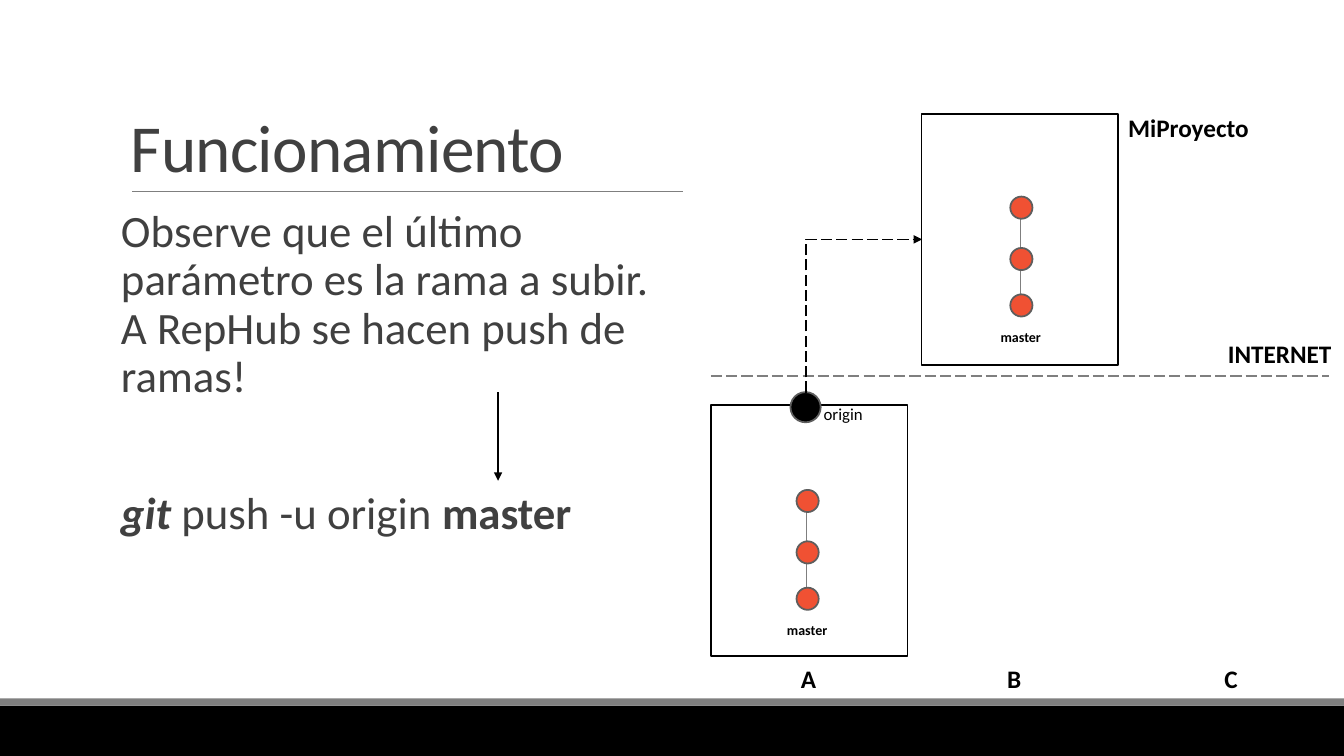
from lxml.etree import SubElement
from pptx import Presentation
from pptx.dml.color import RGBColor
from pptx.enum.dml import MSO_LINE
from pptx.enum.shapes import MSO_CONNECTOR as CONNECTOR, MSO_SHAPE as SHAPE
from pptx.enum.text import MSO_ANCHOR as ANCHOR, PP_ALIGN as ALIGN
from pptx.oxml.ns import qn
from pptx.util import Inches, Pt

BLACK = RGBColor(0x00, 0x00, 0x00)
WHITE = RGBColor(0xFF, 0xFF, 0xFF)
GRAY = RGBColor(0x7F, 0x7F, 0x7F)
DARK_GRAY = RGBColor(0x40, 0x40, 0x40)
OUTLINE_GRAY = RGBColor(0x5E, 0x5E, 0x5E)
ORANGE = RGBColor(0xF0, 0x51, 0x33)
FONT = "Calibri"
DOT = 0.22


def add_box(slide, kind, left, top, width, height, fill, line=None):
    """Add a filled preset shape with an optional outline."""
    shape = slide.shapes.add_shape(
        kind, Inches(left), Inches(top), Inches(width), Inches(height))
    shape.shadow.inherit = False
    shape.fill.solid()
    shape.fill.fore_color.rgb = fill
    if line is None:
        shape.line.fill.background()
    else:
        shape.line.color.rgb = line
        shape.line.width = Pt(1.25)
    return shape


def add_line(slide, start, end, color, width=1, dashed=False, arrow=False,
             kind=CONNECTOR.STRAIGHT):
    """Add a connector between two points."""
    connector = slide.shapes.add_connector(
        kind, *(Inches(value) for value in (*start, *end)))
    connector.line.color.rgb = color
    connector.line.width = Pt(width)
    if dashed:
        connector.line.dash_style = MSO_LINE.LONG_DASH
    if arrow:
        SubElement(connector.line._get_or_add_ln(), qn("a:tailEnd"), type="triangle")
    SubElement(connector._element.spPr, qn("a:effectLst"))
    return connector


def style_paragraph(paragraph, size, color, bold=None):
    """Set the font of a whole paragraph."""
    paragraph.font.name = FONT
    paragraph.font.size = Pt(size)
    paragraph.font.color.rgb = color
    paragraph.font.bold = bold


def add_label(slide, text, left, top, width, height, size, bold=True,
              align=ALIGN.LEFT, color=BLACK):
    """Add a one-paragraph text box."""
    box = slide.shapes.add_textbox(
        Inches(left), Inches(top), Inches(width), Inches(height))
    box.text_frame.word_wrap = True
    paragraph = box.text_frame.paragraphs[0]
    paragraph.text = text
    paragraph.alignment = align
    style_paragraph(paragraph, size, color, bold)
    return box


def add_title(slide):
    """Add the title and the rule below it."""
    box = add_label(slide, "Funcionamiento", 1.2, 0.31, 11, 1.59, 48,
                    bold=None, color=DARK_GRAY)
    box.text_frame.vertical_anchor = ANCHOR.BOTTOM
    paragraph = box.text_frame.paragraphs[0]
    paragraph.line_spacing = 0.85
    paragraph.runs[0].font._element.set("spc", "-50")
    add_line(slide, (1.31, 1.9), (6.77, 1.9), GRAY, 0.5)


def add_body(slide):
    """Add the explanation and the push command."""
    box = add_label(
        slide,
        "Observe que el último parámetro es la rama a subir. "
        "A RepHub se hacen push de ramas!",
        1.2, 2.02, 5.58, 4.4, 32, bold=None, color=DARK_GRAY)
    frame = box.text_frame
    frame.margin_left = frame.margin_right = 0
    command = frame.add_paragraph()
    style_paragraph(command, 32, DARK_GRAY)
    for text, bold, italic in (("git ", True, True),
                               ("push -u origin ", False, False),
                               ("master", True, False)):
        run = command.add_run()
        run.text = text
        run.font.bold = bold
        run.font.italic = italic
    for paragraph in frame.paragraphs:
        paragraph.line_spacing = 0.9
        paragraph.space_after = Pt(2)
    command.space_before = Pt(61)


def add_branch(slide, left, top):
    """Add the commits of the master branch, from the newest down."""
    tops = [top + offset for offset in (0, 0.51, 0.97)]
    for upper, lower in zip(tops, tops[1:]):
        add_line(slide, (left + 0.1, lower), (left + 0.1, upper + DOT), GRAY)
    for commit_top in tops:
        add_box(slide, SHAPE.OVAL, left, commit_top, DOT, DOT, ORANGE, OUTLINE_GRAY)
    add_label(slide, "master", left - 0.21, top + 1.26, 0.63, 0.27, 10,
              align=ALIGN.CENTER)


def add_repository(slide, left, top):
    """Add the frame of a repository."""
    return add_box(slide, SHAPE.RECTANGLE, left, top, 1.95, 2.49, WHITE, BLACK)


def add_push_arrow(slide, origin, remote):
    """Join the origin dot to the remote with a one-bend arrow."""
    connector = add_line(slide, (7.99, 3.89), (9.14, 2.37), BLACK, dashed=True,
                         arrow=True, kind=CONNECTOR.ELBOW)
    connector.begin_connect(origin, 0)
    connector.end_connect(remote, 1)
    properties = connector._element.spPr
    properties.find(qn("a:prstGeom")).set("prst", "bentConnector2")
    transform = properties.find(qn("a:xfrm"))
    for name, value in (("rot", "5400000"), ("flipH", "1"), ("flipV", "1")):
        transform.set(name, value)
    connector.left, connector.top = Inches(7.81), Inches(2.56)
    connector.width, connector.height = Inches(1.52), Inches(1.15)


def main():
    """Build the slide and save it."""
    presentation = Presentation()
    presentation.slide_width = Inches(13.33)
    presentation.slide_height = Inches(7.5)
    slide = presentation.slides.add_slide(presentation.slide_layouts[6])

    add_box(slide, SHAPE.RECTANGLE, 0, 7, 13.33, 0.5, BLACK)
    add_box(slide, SHAPE.RECTANGLE, 0, 6.93, 13.33, 0.07, GRAY)
    add_title(slide)
    add_body(slide)
    add_line(slide, (4.94, 3.89), (4.94, 4.77), BLACK, arrow=True)

    add_label(slide, "INTERNET", 12.08, 3.31, 1.26, 0.41, 18)
    add_line(slide, (7.05, 3.73), (13.18, 3.73), GRAY, dashed=True)
    for name, left in (("A", 7.39), ("B", 9.43), ("C", 11.58)):
        add_label(slide, name, left, 6.53, 1.26, 0.41, 18, align=ALIGN.CENTER)

    remote = add_repository(slide, 9.14, 1.13)
    add_label(slide, "MiProyecto", 11.09, 1.07, 1.41, 0.4, 18)
    add_branch(slide, 10.02, 1.95)

    add_repository(slide, 7.05, 4.02)
    add_label(slide, "origin", 8.07, 3.96, 1.15, 0.3, 12, bold=False)
    origin = add_box(slide, SHAPE.OVAL, 7.84, 3.89, 0.3, 0.3, BLACK, OUTLINE_GRAY)
    add_branch(slide, 7.9, 4.86)
    add_push_arrow(slide, origin, remote)

    presentation.save("out.pptx")


if __name__ == "__main__":
    main()
